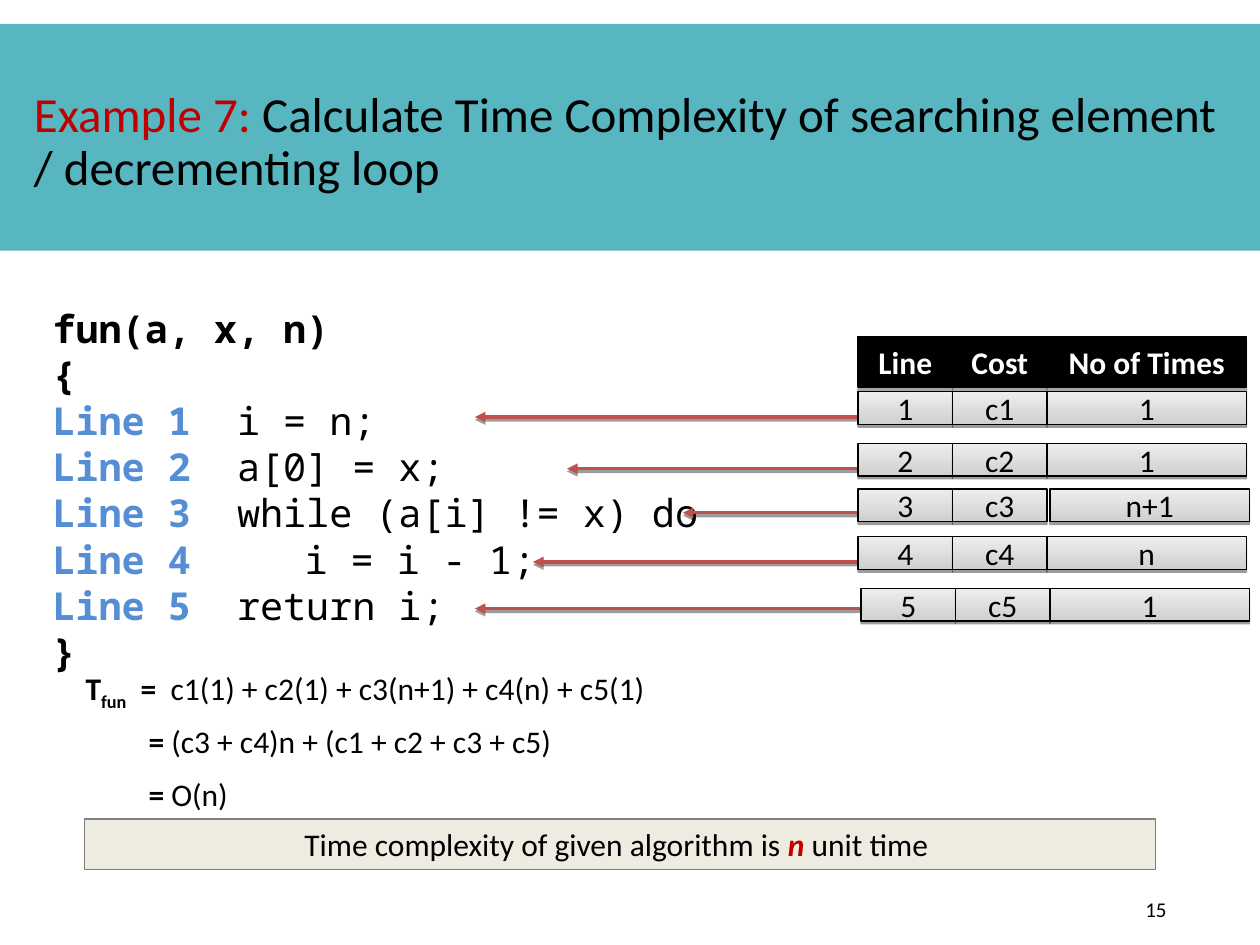
from dataclasses import dataclass

from lxml import etree
from pptx import Presentation
from pptx.dml.color import RGBColor
from pptx.enum.shapes import MSO_CONNECTOR, MSO_SHAPE
from pptx.enum.text import MSO_ANCHOR, MSO_AUTO_SIZE, PP_ALIGN
from pptx.oxml.ns import qn
from pptx.util import Pt

RECTANGLE = MSO_SHAPE.RECTANGLE
STRAIGHT = MSO_CONNECTOR.STRAIGHT
TOP, MIDDLE = MSO_ANCHOR.TOP, MSO_ANCHOR.MIDDLE
LEFT, CENTER, JUSTIFY = PP_ALIGN.LEFT, PP_ALIGN.CENTER, PP_ALIGN.JUSTIFY
NO_AUTOFIT = MSO_AUTO_SIZE.NONE


@dataclass(frozen=True)
class Theme:
    band: str = "58B6C0"
    ink: str = "000000"
    light: str = "FFFFFF"
    accent: str = "C00000"
    label: str = "558ED5"
    arrow: str = "C0504D"
    cell_top: str = "EDEDED"
    cell_bottom: str = "D0D0D0"
    result: str = "EEECE1"
    result_edge: str = "808080"
    body_font: str = "Calibri"
    code_font: str = "Noto Sans Mono"
    title_size: int = 28
    code_size: int = 22
    body_size: int = 18
    number_size: int = 12


THEME = Theme()
BOLD = {"bold": True}
LABEL = {"bold": True, "color": THEME.label}

TITLE = [("Example 7:", {"color": THEME.accent}),
         (" Calculate Time Complexity of searching element / decrementing loop", {})]
CODE = [
    [("fun(a, x, n)", BOLD)],
    [("{", BOLD)],
    [("Line 1  ", LABEL), ("i = n;", {})],
    [("Line 2  ", LABEL), ("a[0] = x;", {})],
    [("Line 3 ", LABEL), (" while (a[i] != x) do", {})],
    [("Line 4  \t\t", LABEL), ("i = i - 1;", {})],
    [("Line 5", LABEL), ("  return i;", {})],
    [("}", BOLD)],
]
DERIVATION = [
    ((41.8, 378.7, 396, 29), [("T", BOLD), ("fun", {"bold": True, "baseline": -25000}),
                              ("  =  ", BOLD),
                              ("c1(1) + c2(1) + c3(n+1) + c4(n) + c5(1)", {})]),
    ((77.8, 409, 318, 29), [("=", BOLD), (" (c3 + c4)n + (c1 + c2 + c3 + c5)", {})]),
    ((77.8, 439.2, 227.5, 29), [("=", BOLD), (" O(n)", {})]),
]
RESULT = [("Time complexity of given algorithm is ", {}),
          ("n", {"bold": True, "italic": True, "color": THEME.accent}),
          (" unit time ", {})]

COST_LEFT = 490.3
COST_WIDTHS = (54, 54, 114)
HEADER_TOP, HEADER_HEIGHT, ROW_HEIGHT = 192.2, 29, 18.7
HEADINGS = ("Line", "Cost", "No of Times")
NUDGE = 1.7
COST_ROWS = [
    (223.9, ("1", "c1", "1"), (0, 0, 0), 238.3, 271.4),
    (253.4, ("2", "c2", "1"), (0, 0, 0), 267.8, 324),
    (279.4, ("3", "c3", "n+1"), (0, 0, NUDGE), 293, 390.2),
    (306.7, ("4", "c4", "n"), (0, 0, 0), 321.1, 304.6),
    (336.2, ("5", "c5", "1"), (NUDGE, NUDGE, NUDGE), 347.8, 271.4),
]


def rgb(color):
    return RGBColor.from_string(color)


def points(values):
    return [Pt(value) for value in values]


def write(frame, paragraphs, font=THEME.body_font, size=THEME.body_size,
          color=THEME.ink, bold=False, align=LEFT, anchor=TOP,
          insets=(7.2, 3.6, 7.2, 3.6), line_spacing=None, space_before=0):
    frame.word_wrap = True
    frame.auto_size = NO_AUTOFIT
    frame.vertical_anchor = anchor
    (frame.margin_left, frame.margin_top,
     frame.margin_right, frame.margin_bottom) = points(insets)
    for index, pieces in enumerate(paragraphs):
        paragraph = frame.add_paragraph() if index else frame.paragraphs[0]
        paragraph.alignment = align
        paragraph.line_spacing = line_spacing
        paragraph.space_before = Pt(space_before)
        for wording, style in pieces:
            run = paragraph.add_run()
            run.text = wording
            run.font.name = font
            run.font.size = Pt(size)
            run.font.bold = style.get("bold", bold)
            run.font.italic = style.get("italic", False)
            run.font.color.rgb = rgb(style.get("color", color))
            if "baseline" in style:
                run.font._element.set("baseline", str(style["baseline"]))


def add_shadow(element, opacity, distance):
    properties = element._element.spPr
    effects = properties.find(qn("a:effectLst"))
    if effects is None:
        effects = etree.SubElement(properties, qn("a:effectLst"))
    shadow = etree.SubElement(effects, qn("a:outerShdw"), blurRad="0",
                              dist=str(Pt(distance)), dir="5400000", rotWithShape="0")
    shade = etree.SubElement(shadow, qn("a:srgbClr"), val=THEME.ink)
    etree.SubElement(shade, qn("a:alpha"), val=str(opacity * 1000))


def add_text(slide, bounds, paragraphs, **style):
    box = slide.shapes.add_textbox(*points(bounds))
    write(box.text_frame, paragraphs, **style)


def add_box(slide, bounds, fill, edge=None):
    box = slide.shapes.add_shape(RECTANGLE, *points(bounds))
    box.shadow.inherit = False
    if isinstance(fill, tuple):
        box.fill.gradient()
        box.fill.gradient_angle = 270
        for stop, color in zip(box.fill.gradient_stops, fill):
            stop.color.rgb = rgb(color)
    else:
        box.fill.solid()
        box.fill.fore_color.rgb = rgb(fill)
    if edge:
        box.line.color.rgb = rgb(edge)
        box.line.width = Pt(0.75)
    else:
        box.line.fill.background()
    return box


def add_arrow(slide, start, end, y):
    arrow = slide.shapes.add_connector(STRAIGHT, *points((start, y, end, y)))
    arrow.line.color.rgb = rgb(THEME.arrow)
    arrow.line.width = Pt(2)
    etree.SubElement(arrow.line._get_or_add_ln(), qn("a:tailEnd"), type="triangle")
    add_shadow(arrow, 38, 1.6)


def add_cost_row(slide, top, height, entries, shifts, fill, shadow, **style):
    for column, (entry, shift) in enumerate(zip(entries, shifts)):
        left = COST_LEFT + sum(COST_WIDTHS[:column]) + shift
        cell = add_box(slide, (left, top, COST_WIDTHS[column], height), fill, THEME.ink)
        add_shadow(cell, *shadow)
        write(cell.text_frame, [[(entry, {})]], align=CENTER, **style)


def add_title(slide):
    title = slide.shapes.title
    title.left, title.top, title.width, title.height = points((12.2, 48.2, 689.8, 67))
    write(title.text_frame, [TITLE], size=THEME.title_size, align=JUSTIFY,
          anchor=MIDDLE, line_spacing=0.9, space_before=6)
    band = add_box(slide, (0, 13.7, 720, 129.6), THEME.band)
    title._element.addprevious(band._element)


def main():
    deck = Presentation()
    deck.slide_width, deck.slide_height = points((720, 540))
    slide = deck.slides.add_slide(deck.slide_layouts[5])
    add_title(slide)
    add_text(slide, (650.9, 505.4, 56.2, 28.8), [[("15", {})]],
             size=THEME.number_size, anchor=MIDDLE, insets=(3.6, 3.6, 7.2, 3.6))
    add_text(slide, (23, 170.6, 432, 220.3), CODE,
             font=THEME.code_font, size=THEME.code_size)
    for bounds, step in DERIVATION:
        add_text(slide, bounds, [step])
    result = add_box(slide, (48.2, 468, 612, 29), THEME.result, THEME.result_edge)
    write(result.text_frame, [RESULT], align=CENTER)
    add_cost_row(slide, HEADER_TOP, HEADER_HEIGHT, HEADINGS, (0, 0, 0), THEME.ink,
                 (35, 1.8), color=THEME.light, bold=True)
    for top, entries, shifts, arrow_y, arrow_tip in COST_ROWS:
        add_arrow(slide, COST_LEFT + shifts[0], arrow_tip, arrow_y)
        add_cost_row(slide, top, ROW_HEIGHT, entries, shifts,
                     (THEME.cell_top, THEME.cell_bottom), (38, 1.6), anchor=MIDDLE)
    deck.save("out.pptx")


if __name__ == "__main__":
    main()
